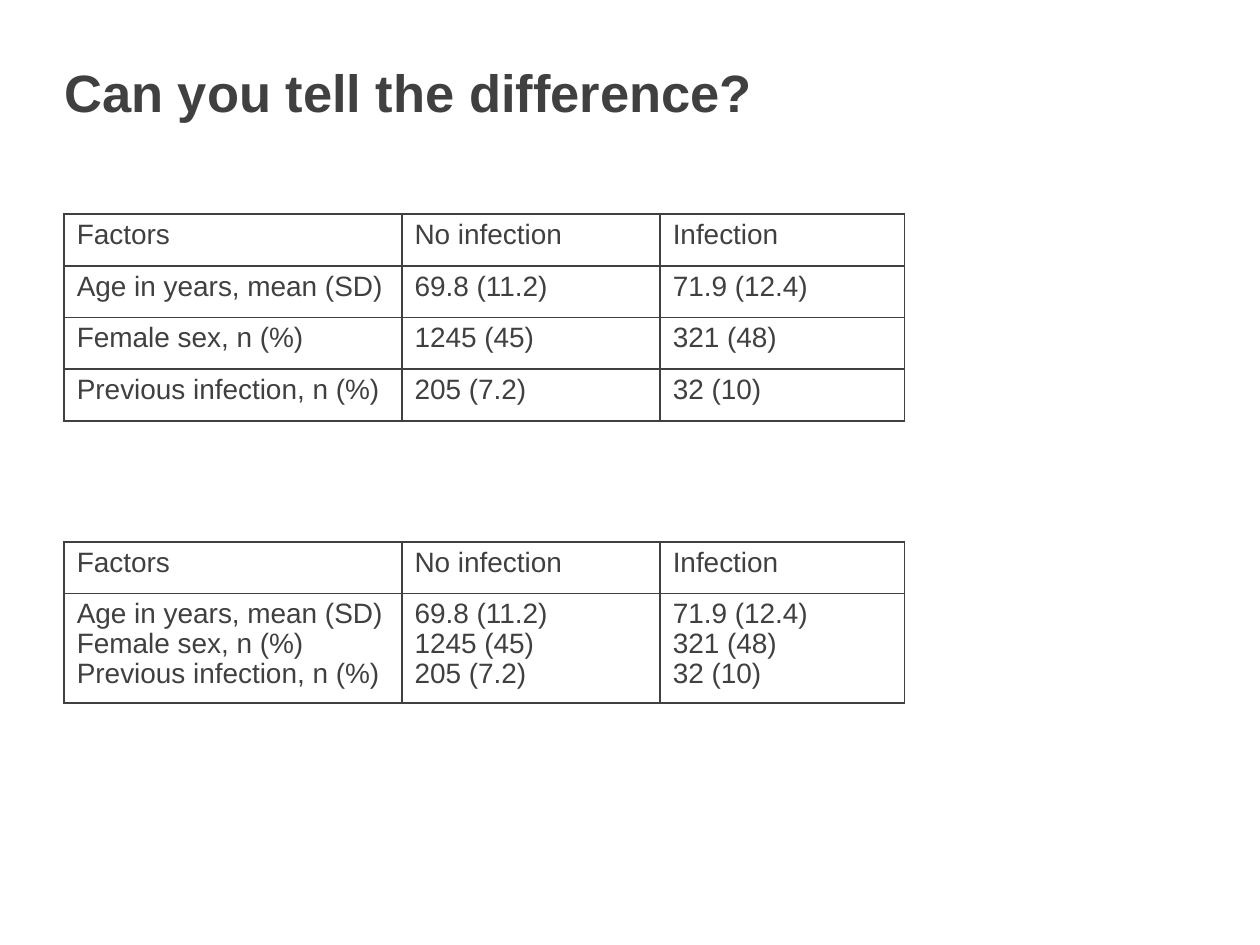
from dataclasses import dataclass

from lxml.etree import SubElement
from pptx import Presentation
from pptx.dml.color import RGBColor
from pptx.enum.text import MSO_ANCHOR as Anchor
from pptx.oxml.ns import qn
from pptx.util import Inches, Pt


@dataclass(frozen=True)
class Theme:
    font: str = "Arial"
    ink: str = "404040"
    title_size: int = 30
    table_size: int = 16
    table_spacing: float = 0.96
    border_width: float = 1


LEFT = 0.51
COLUMN_WIDTHS = (2.68, 2.05, 1.94)
ROW_HEIGHT = 0.41
MERGED_HEIGHT = 0.84

HEADER = ("Factors", "No infection", "Infection")
RESULTS = (
    ("Age in years, mean (SD)", "69.8 (11.2)", "71.9 (12.4)"),
    ("Female sex, n (%)", "1245 (45)", "321 (48)"),
    ("Previous infection, n (%)", "205 (7.2)", "32 (10)"),
)


class SlideBuilder:
    def __init__(self, page, theme):
        self.page = page
        self.theme = theme

    def set_text(self, frame, text, size, bold=False, spacing=None):
        """Fill a text frame, one paragraph per line of text."""
        for index, line in enumerate(text.split("\n")):
            para = frame.add_paragraph() if index else frame.paragraphs[0]
            para.line_spacing = spacing
            span = para.add_run()
            span.text = line
            span.font.name = self.theme.font
            span.font.size = Pt(size)
            span.font.bold = bold
            span.font.color.rgb = RGBColor.from_string(self.theme.ink)

    def title(self, text, left, top, width, height):
        box = self.page.shapes.add_textbox(
            Inches(left), Inches(top), Inches(width), Inches(height))
        frame = box.text_frame
        frame.word_wrap = True
        frame.vertical_anchor = Anchor.BOTTOM
        frame.margin_left = frame.margin_right = 0
        frame.margin_top = frame.margin_bottom = 0
        self.set_text(frame, text, self.theme.title_size, bold=True)

    def border(self, cell):
        """Draw all four edges; they must come before the cell's fill."""
        properties = cell._tc.get_or_add_tcPr()
        for edge in ("a:lnL", "a:lnR", "a:lnT", "a:lnB"):
            line = SubElement(properties, qn(edge),
                              w=str(Pt(self.theme.border_width)))
            fill = SubElement(line, qn("a:solidFill"))
            SubElement(fill, qn("a:srgbClr"), val=self.theme.ink)

    def table(self, rows, left, top, widths, heights):
        table = self.page.shapes.add_table(
            len(rows), len(widths), Inches(left), Inches(top),
            Inches(sum(widths)), Inches(sum(heights))).table
        table.first_row = table.horz_banding = False
        for column, width in zip(table.columns, widths):
            column.width = Inches(width)
        for row, height, texts in zip(table.rows, heights, rows):
            row.height = Inches(height)
            for cell, text in zip(row.cells, texts):
                self.border(cell)
                cell.fill.background()
                self.set_text(cell.text_frame, text, self.theme.table_size,
                              spacing=self.theme.table_spacing)


def main():
    deck = Presentation()
    deck.slide_width, deck.slide_height = Inches(10), Inches(7.5)
    page = deck.slides.add_slide(deck.slide_layouts[6])
    builder = SlideBuilder(page, Theme())

    builder.title("Can you tell the difference?", LEFT, 0.47, 8.98, 0.51)

    separate_rows = (HEADER, *RESULTS)
    builder.table(separate_rows, LEFT, 1.7, COLUMN_WIDTHS,
                  [ROW_HEIGHT] * len(separate_rows))

    merged_row = ["\n".join(column) for column in zip(*RESULTS)]
    builder.table((HEADER, merged_row), LEFT, 4.3, COLUMN_WIDTHS,
                  (ROW_HEIGHT, MERGED_HEIGHT))

    deck.save("out.pptx")


if __name__ == "__main__":
    main()
